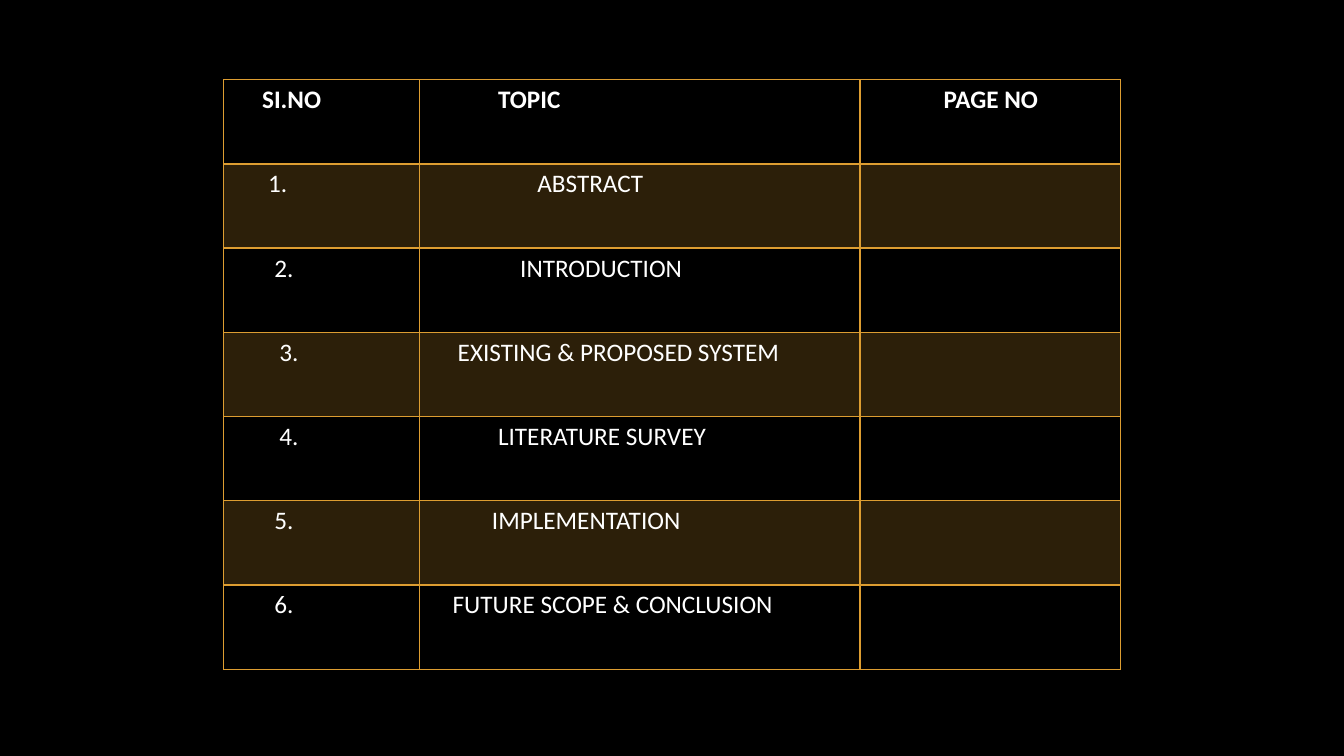
import pptx
import pptx.util
import pptx.dml.color
import pptx.oxml
import pptx.oxml.ns
import lxml.etree

Inches = pptx.util.Inches
Pt = pptx.util.Pt
RGB = pptx.dml.color.RGBColor.from_string

HUES = {"back": "000000", "text": "FFFFFF", "gold": "DD9D31"}
WIDTHS = [1.94, 4.37, 2.58]
HEIGHT = 5.85

# Each cell: text and left indent in inches
ROWS = [
    [("SI.NO", 0.38), ("TOPIC", 0.78), ("PAGE NO", 0.83)],
    [("1.", 0.44), ("ABSTRACT", 1.17)],
    [("2.", 0.5), ("INTRODUCTION", 1.0)],
    [("3.", 0.55), ("EXISTING & PROPOSED SYSTEM", 0.38)],
    [("4.", 0.55), ("LITERATURE SURVEY", 0.78)],
    [("5.", 0.5), ("IMPLEMENTATION", 0.72)],
    [("6.", 0.5), ("FUTURE SCOPE & CONCLUSION", 0.33)],
]


def add(parent, tag, **attrs):
    node = lxml.etree.SubElement(parent, pptx.oxml.ns.qn(tag))
    for key, val in attrs.items():
        node.set(key, str(val))
    return node


class Deck:
    font = "Calibri"
    size = 18

    def __init__(self):
        self.prs = pptx.Presentation()
        self.prs.slide_width = Inches(13.33)
        self.prs.slide_height = Inches(7.5)
        self.slide = self.prs.slides.add_slide(self.prs.slide_layouts[6])
        fill = self.slide.background.fill
        fill.solid()
        fill.fore_color.rgb = RGB(HUES["back"])

    def edge(self, cell, side, width):
        line = add(cell._tc.get_or_add_tcPr(), "a:ln" + side, w=Pt(width))
        add(add(line, "a:solidFill"), "a:srgbClr", val=HUES["gold"])

    def tint(self, cell, banded):
        if not banded:
            cell.fill.background()
            return
        cell.fill.solid()
        cell.fill.fore_color.rgb = RGB(HUES["gold"])
        fill = cell._tc.tcPr.find(pptx.oxml.ns.qn("a:solidFill"))
        add(fill[0], "a:alpha", val=20000)

    def label(self, cell, text, indent, bold):
        cell.margin_left = Inches(indent)
        cell.text_frame.text = text
        para = cell.text_frame.paragraphs[0]
        para.font.size = Pt(self.size)
        for run in para.runs:
            run.font.name = self.font
            run.font.size = Pt(self.size)
            run.font.bold = bold
            run.font.color.rgb = RGB(HUES["text"])

    def table(self, left, top, widths, height, rows):
        frame = self.slide.shapes.add_table(
            len(rows), len(widths), Inches(left), Inches(top),
            Inches(sum(widths)), Inches(height))
        grid = frame.table
        grid.horz_banding = False
        for col, width in zip(grid.columns, widths):
            col.width = Inches(width)
        for r, row in enumerate(rows):
            grid.rows[r].height = Inches(height / len(rows))
            for c in range(len(widths)):
                cell = grid.cell(r, c)
                text, indent = row[c] if c < len(row) else ("", 0.1)
                self.label(cell, text, indent, r == 0)
                # Heavier rule below the header
                for side in "LRTB":
                    heavy = (r, side) in [(0, "B"), (1, "T")]
                    self.edge(cell, side, 2 if heavy else 1)
                self.tint(cell, r % 2 == 1)


def main():
    deck = Deck()
    # Table of contents
    deck.table(2.22, 0.79, WIDTHS, HEIGHT, ROWS)
    deck.prs.save("out.pptx")


if __name__ == "__main__":
    main()
